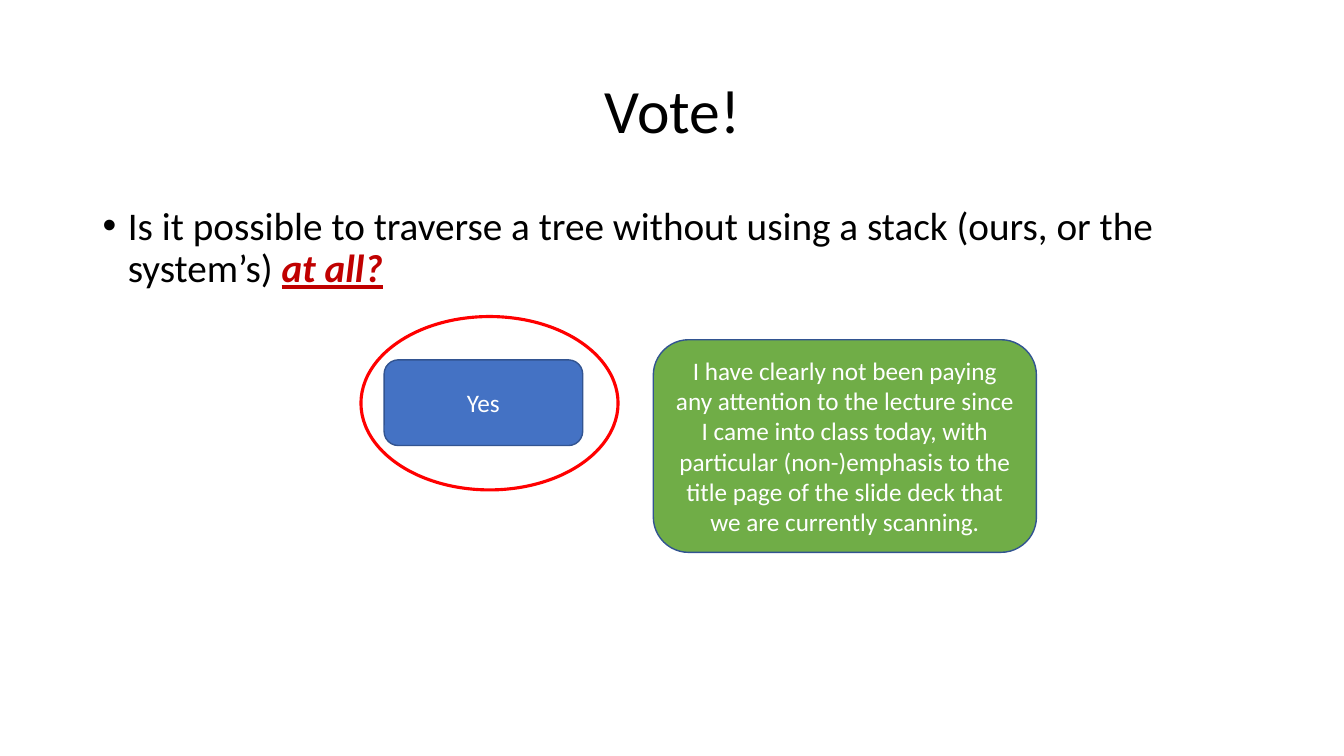
from lxml.etree import SubElement as Sub
from pptx import Presentation
from pptx.dml.color import RGBColor
from pptx.enum.shapes import MSO_SHAPE as Form
from pptx.enum.text import MSO_ANCHOR as Anchor, PP_ALIGN as Align
from pptx.oxml.ns import qn
from pptx.util import Emu, Pt

SCALE = 9144  # EMU in one px, 100 px to the inch


def px(num):
    return Emu(num * SCALE)


def tint(code):
    return RGBColor.from_string(code)


class Page:
    face = "Calibri"
    ink = "000000"
    white = "FFFFFF"
    edge = "325491"

    def __init__(self, deck):
        self.slide = deck.slides.add_slide(deck.slide_layouts[6])

    def style(self, run, size, color):
        run.font.name = self.face
        run.font.size = Pt(size)
        run.font.color.rgb = tint(color)

    def text(self, box, words, size, anchor=Anchor.TOP):
        area = self.slide.shapes.add_textbox(*map(px, box))
        frame = area.text_frame
        frame.word_wrap = True
        frame.vertical_anchor = anchor
        frame.text = words
        para = frame.paragraphs[0]
        para.line_spacing = 0.9
        self.style(para.runs[0], size, self.ink)
        return para

    def title(self, box, words):
        para = self.text(box, words, 44, Anchor.MIDDLE)
        para.alignment = Align.CENTER

    def bullet(self, box, words, stress, color):
        para = self.text(box, words, 28)
        props = para._p.get_or_add_pPr()
        props.set("marL", str(px(25)))
        props.set("indent", str(px(-25)))
        Sub(props, qn("a:buFont"), typeface="Arial")
        Sub(props, qn("a:buChar"), char="•")
        run = para.add_run()
        run.text = stress
        self.style(run, 28, color)
        run.font.bold = run.font.italic = run.font.underline = True

    def shape(self, form, box, line, width):
        item = self.slide.shapes.add_shape(form, *map(px, box))
        item.shadow.inherit = False
        item.fill.background()
        item.line.color.rgb = tint(line)
        item.line.width = Pt(width)
        return item

    def choice(self, box, words, fill):
        item = self.shape(Form.ROUNDED_RECTANGLE, box, self.edge, 1)
        item.fill.solid()
        item.fill.fore_color.rgb = tint(fill)
        frame = item.text_frame
        frame.word_wrap = True
        frame.vertical_anchor = Anchor.MIDDLE
        frame.text = words
        para = frame.paragraphs[0]
        para.alignment = Align.CENTER
        self.style(para.runs[0], 18, self.white)

    def ring(self, box, color):
        self.shape(Form.OVAL, box, color, 2.25)


def main():
    deck = Presentation()
    deck.slide_width, deck.slide_height = px(1333), px(750)
    page = Page(deck)

    # Title and question
    page.title((92, 40, 1150, 145), "Vote!")
    page.bullet(
        (92, 200, 1150, 476),
        "Is it possible to traverse a tree without using a stack "
        "(ours, or the system’s) ",
        "at all?", "C00000")

    # Answers
    page.choice((381, 357, 197, 85), "Yes", "4472C4")
    page.choice(
        (648, 337, 380, 211),
        "I have clearly not been paying any attention to the lecture since "
        "I came into class today, with particular (non-)emphasis to the "
        "title page of the slide deck that we are currently scanning.",
        "70AD47")

    # Ring around the right answer
    page.ring((358, 314, 255, 172), "FF0000")

    deck.save("out.pptx")


if __name__ == "__main__":
    main()
